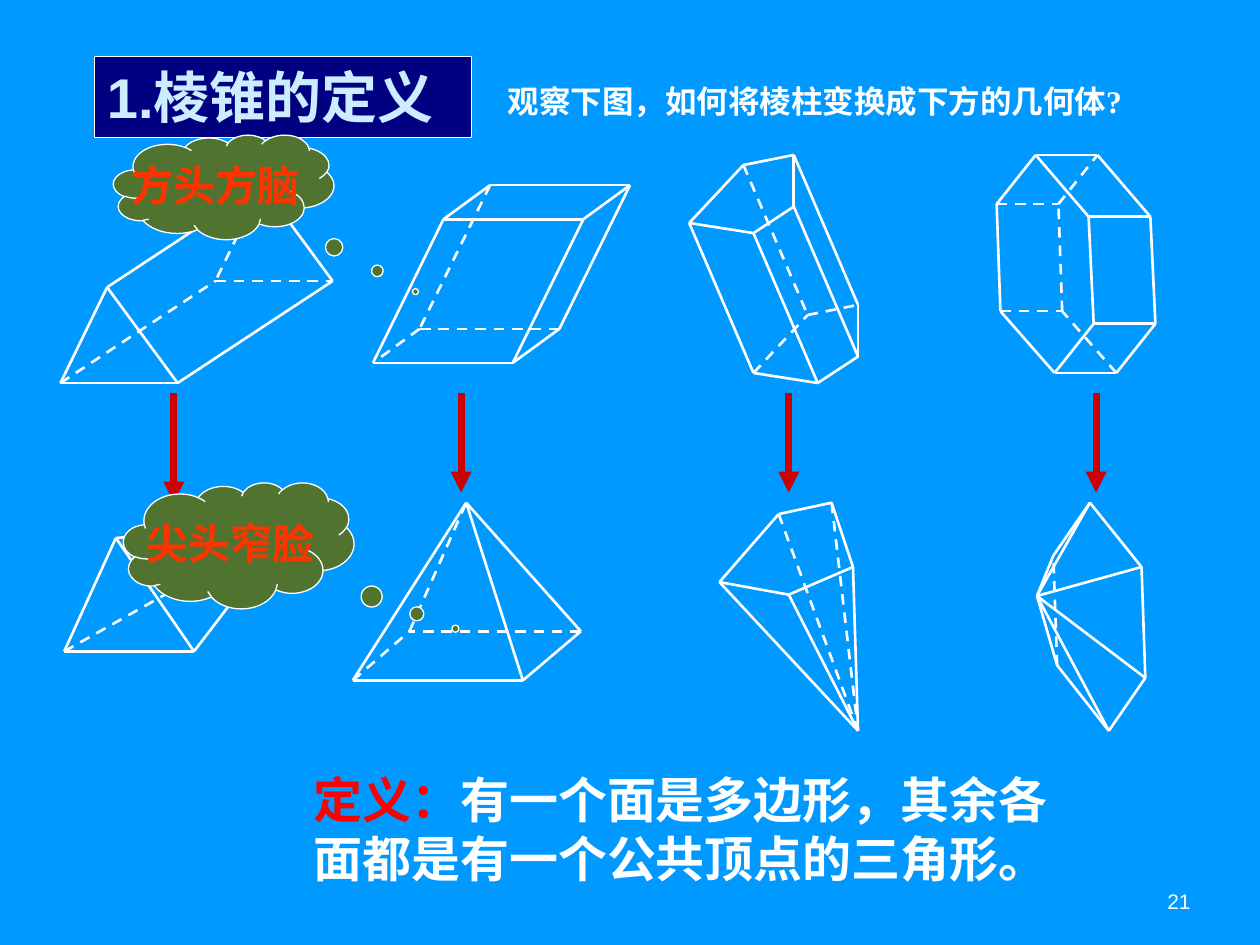
import pptx
import pptx.dml.color
import pptx.enum.dml
import pptx.enum.shapes
import pptx.enum.text
import pptx.oxml.ns
import pptx.util
from lxml import etree

Inches = pptx.util.Inches
Pt = pptx.util.Pt
qn = pptx.oxml.ns.qn
SHAPES = pptx.enum.shapes.MSO_SHAPE
ALIGN = pptx.enum.text.PP_ALIGN
ANCHOR = pptx.enum.text.MSO_ANCHOR
AUTO_SIZE = pptx.enum.text.MSO_AUTO_SIZE

WHITE = "FFFFFF"


def rgb(hex_text):
    return pptx.dml.color.RGBColor.from_string(hex_text)


class Lesson:
    """Slide style, with one method for each kind of element."""

    font = "Arial"
    edge_width = 1.5

    def __init__(self, slide, background):
        self.slide = slide
        slide.background.fill.solid()
        slide.background.fill.fore_color.rgb = rgb(background)

    def line(self, start, end, color=WHITE, width=edge_width, dashed=False, parent=None):
        shapes = (parent or self.slide).shapes
        line = shapes.add_connector(
            pptx.enum.shapes.MSO_CONNECTOR.STRAIGHT,
            *(Inches(value) for value in (*start, *end)))
        line.line.color.rgb = rgb(color)
        line.line.width = Pt(width)
        if dashed:
            line.line.dash_style = pptx.enum.dml.MSO_LINE.DASH
        etree.SubElement(line._element.spPr, qn("a:effectLst"))
        return line

    def arrow(self, start, end):
        arrow = self.line(start, end, "CC0000", 4)
        outline = arrow._element.spPr.find(qn("a:ln"))
        etree.SubElement(outline, qn("a:tailEnd"), type="triangle")

    def solid(self, points, edges, hidden):
        """Draw one polyhedron as a group, its hidden edges dashed."""
        group = self.slide.shapes.add_group_shape()
        for a, b in edges:
            self.line(points[a], points[b], dashed=(a, b) in hidden, parent=group)

    def prism(self, base, shift, hidden_corners):
        """Join a base with its shifted twin; corners count on after the base."""
        n = len(base)
        points = base + [(x + shift[0], y + shift[1]) for x, y in base]
        edges = []
        for i in range(n):
            j = (i + 1) % n
            edges += [(i, j), (i + n, j + n), (i, i + n)]
        hidden = [edge for edge in edges if set(edge) & set(hidden_corners)]
        self.solid(points, edges, hidden)

    def pyramid(self, base, apex, hidden):
        """Join a base with its apex, whose index follows the base."""
        n = len(base)
        edges = []
        for i in range(n):
            edges += [tuple(sorted((i, (i + 1) % n))), (i, n)]
        self.solid(base + [apex], edges, hidden)

    def set_runs(self, frame, runs, size, bold=True, align=ALIGN.LEFT,
                 anchor=ANCHOR.TOP, wrap=True, grow=False, side=0.1):
        """Fill a frame with (text, colour, font) runs."""
        frame.word_wrap = wrap
        frame.vertical_anchor = anchor
        frame.auto_size = AUTO_SIZE.SHAPE_TO_FIT_TEXT if grow else AUTO_SIZE.NONE
        frame.margin_left = frame.margin_right = Inches(side)
        frame.margin_top = frame.margin_bottom = Inches(0.05)
        paragraph = frame.paragraphs[0]
        paragraph.alignment = align
        for text, color, font in runs:
            run = paragraph.add_run()
            run.text = text
            run.font.name = font
            run.font.size = Pt(size)
            run.font.bold = bold
            run.font.color.rgb = rgb(color)

    def text(self, box, runs, size, **layout):
        label = self.slide.shapes.add_textbox(*(Inches(value) for value in box))
        self.set_runs(label.text_frame, runs, size, **layout)

    def panel(self, kind, box, fill, runs, size, adjustments=(), **layout):
        panel = self.slide.shapes.add_shape(kind, *(Inches(value) for value in box))
        for i, value in enumerate(adjustments):
            panel.adjustments[i] = value
        panel.shadow.inherit = False
        panel.fill.solid()
        panel.fill.fore_color.rgb = rgb(fill)
        panel.line.color.rgb = rgb(WHITE)
        panel.line.width = Pt(0.75)
        self.set_runs(panel.text_frame, runs, size, **layout)

    def cloud(self, box, words, pointer):
        self.panel(SHAPES.CLOUD_CALLOUT, box, "50742F", [(words, "FF3300", self.font)], 24,
                   pointer, align=ALIGN.CENTER, anchor=ANCHOR.MIDDLE, wrap=False)


def main():
    deck = pptx.Presentation()
    deck.slide_width, deck.slide_height = Inches(10), Inches(7.5)
    lesson = Lesson(deck.slides.add_slide(deck.slide_layouts[6]), "0099FF")
    font = lesson.font

    # Page number
    lesson.text((7.17, 6.95, 2.33, 0.4), [("21", WHITE, font)], 12, bold=False,
                align=ALIGN.RIGHT, anchor=ANCHOR.MIDDLE, side=0.05)

    # Prisms: base, shift, hidden corners
    prisms = [
        ([(0.48, 3.04), (1.41, 3.04), (0.85, 2.28)], (1.23, -0.81), [3]),
        ([(3.52, 1.74), (4.63, 1.74), (5, 1.47), (3.89, 1.47)], (-0.56, 1.14), [7]),
        ([(5.47, 1.77), (5.9, 1.31), (6.3, 1.23), (6.3, 1.64), (5.98, 1.85)],
         (0.51, 1.19), [6]),
        ([(8.22, 1.23), (8.64, 1.72), (8.68, 2.57), (8.37, 2.96), (7.94, 2.47),
          (7.91, 1.62)], (0.49, 0), [10, 11]),
    ]
    for base, shift, hidden_corners in prisms:
        lesson.prism(base, shift, hidden_corners)

    # Pyramids: base, apex, hidden edges
    pyramids = [
        ([(0.51, 5.17), (1.54, 5.17), (0.92, 4.27)], (2.32, 4.15), [(0, 3)]),
        ([(2.8, 5.4), (4.15, 5.4), (4.61, 5.01), (3.25, 5.01)], (3.7, 3.99),
         [(0, 3), (2, 3), (3, 4)]),
        ([(5.71, 4.62), (6.18, 4.08), (6.6, 3.99), (6.77, 4.5), (6.26, 4.72)],
         (6.81, 5.8), [(1, 5), (2, 5)]),
        ([(8.65, 3.99), (9.06, 4.5), (9.09, 5.38), (8.8, 5.8), (8.39, 5.28),
          (8.36, 4.41)], (8.23, 4.73), [(4, 5)]),
    ]
    for base, apex, hidden in pyramids:
        lesson.pyramid(base, apex, hidden)

    # Arrows from each prism to its pyramid
    for x, tip in [(1.38, 3.99), (3.66, 3.91), (6.26, 3.91), (8.7, 3.91)]:
        lesson.arrow((x, 3.12), (x, tip))

    # Title and question
    lesson.panel(SHAPES.RECTANGLE, (0.75, 0.45, 2.99, 0.64), "000080",
                 [("1.棱锥的定义", "CCECFF", font)], 32, grow=True)
    lesson.text((3.93, 0.6, 5.13, 0.4),
                [("观察下图，如何将棱柱变换成下方的几何体", WHITE, font),
                 ("?", WHITE, "Times New Roman")], 18, wrap=False, grow=True)

    # Thought clouds
    lesson.cloud((0.9, 1.07, 1.75, 0.83), "方头方脑", (0.87, 1))
    lesson.cloud((0.98, 3.83, 1.83, 1), "尖头窄脸", (0.94, 0.66))

    # Definition
    lesson.text((2.39, 6.06, 6.36, 1.04),
                [("定义：", "FF0000", font),
                 ("有一个面是多边形，其余各面都是有一个公共顶点的三角形。", WHITE, font)],
                28, grow=True)

    deck.save("out.pptx")


if __name__ == "__main__":
    main()
